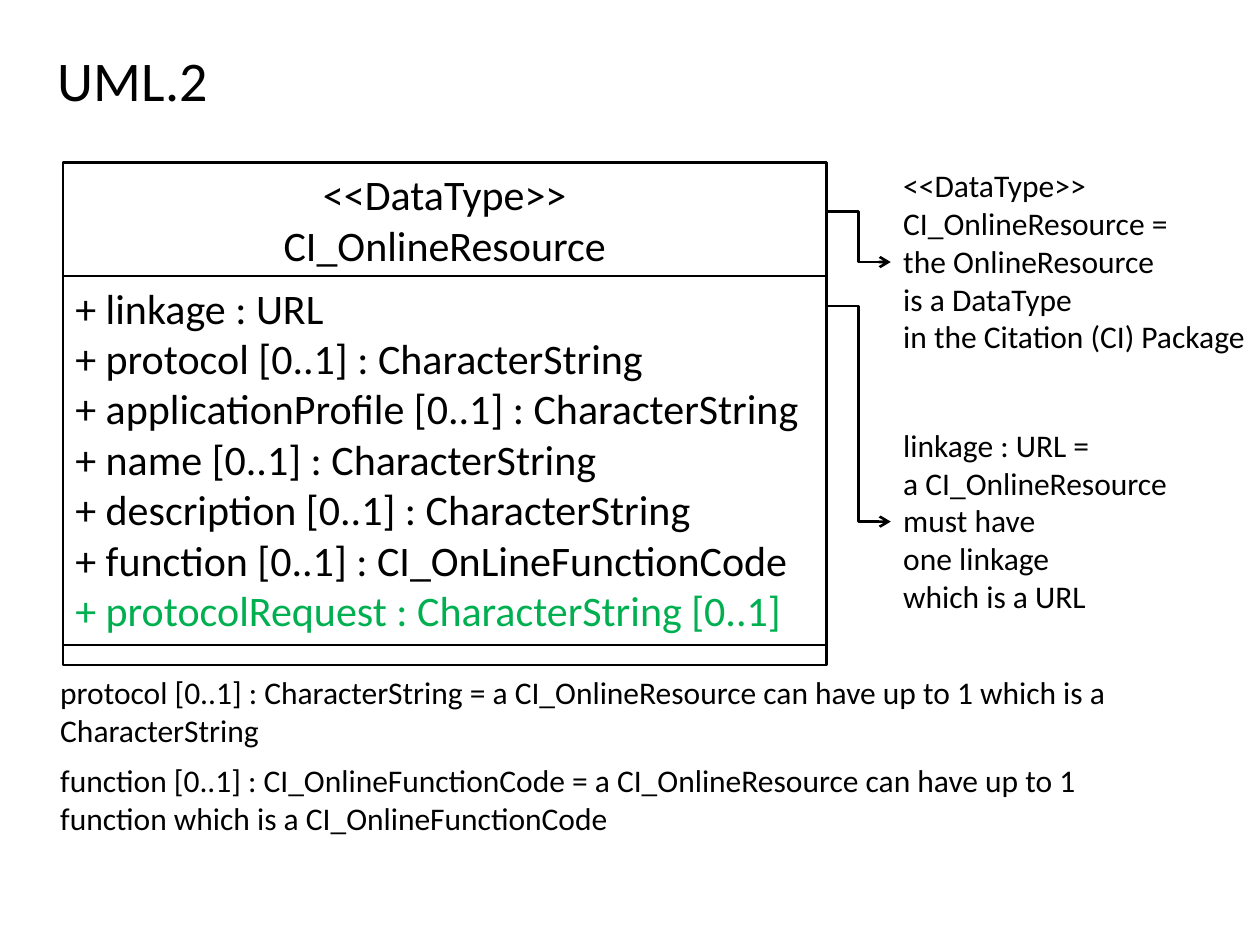
from dataclasses import dataclass

from lxml import etree
from pptx import Presentation
from pptx.dml.color import RGBColor
from pptx.enum import shapes, text
from pptx.oxml import ns
from pptx.util import Inches, Pt


@dataclass(frozen=True)
class Theme:
    font: str = "Calibri"
    ink: RGBColor = RGBColor(0, 0, 0)
    paper: RGBColor = RGBColor(255, 255, 255)
    added: RGBColor = RGBColor(0, 0xB0, 0x50)
    title_size: int = 32
    class_size: int = 24
    note_size: int = 18
    line_width: float = 1.5


THEME = Theme()

CLASS_LEFT, CLASS_TOP, CLASS_WIDTH = 0.5, 1.29, 6.06
CLASS_NAME = ["<<DataType>>", "CI_OnlineResource"]
ATTRIBUTES = [
    "+ linkage : URL",
    "+ protocol [0..1] : CharacterString",
    "+ applicationProfile [0..1] : CharacterString",
    "+ name [0..1] : CharacterString",
    "+ description [0..1] : CharacterString",
    "+ function [0..1] : CI_OnLineFunctionCode",
    "+ protocolRequest : CharacterString [0..1]",
]
COMPARTMENTS = [
    (0.9, CLASS_NAME, text.PP_ALIGN.CENTER),
    (2.93, ATTRIBUTES, text.PP_ALIGN.LEFT),
    (0.16, [], text.PP_ALIGN.LEFT),
]

NOTE_LEFT, NOTE_HEIGHT = 7.07, 1.62
# Top, width, height at which the arrow leaves the class, lines
SIDE_NOTES = [
    (1.27, 2.95, 1.68, [
        "<<DataType>>",
        "CI_OnlineResource =",
        "the OnlineResource",
        "is a DataType",
        "in the Citation (CI) Package",
    ]),
    (3.33, 2.32, 2.43, [
        "linkage : URL =",
        "a CI_OnlineResource",
        "must have",
        "one linkage",
        "which is a URL",
    ]),
]

FOOT_TOP, FOOT_STEP = 5.29, 0.7
FOOT_NOTES = [
    "protocol [0..1] : CharacterString = a CI_OnlineResource can have "
    "up to 1 which is a CharacterString",
    "function [0..1] : CI_OnlineFunctionCode = a CI_OnlineResource can have "
    "up to 1 function which is a CI_OnlineFunctionCode",
]


def write_lines(text_frame, lines, size, alignment=text.PP_ALIGN.LEFT):
    text_frame.text = "\n".join(lines)
    for paragraph in text_frame.paragraphs:
        paragraph.alignment = alignment
        for run in paragraph.runs:
            run.font.name = THEME.font
            run.font.size = Pt(size)
            run.font.color.rgb = THEME.ink


def place_title(slide, title):
    shape = slide.shapes.title
    shape.left, shape.top = Inches(0.36), Inches(0.32)
    shape.width, shape.height = Inches(9), Inches(0.61)
    write_lines(shape.text_frame, [title], THEME.title_size)
    shape.text_frame.vertical_anchor = text.MSO_ANCHOR.MIDDLE


def add_compartment(slide, top, height, lines, alignment):
    shape = slide.shapes.add_shape(
        shapes.MSO_SHAPE.RECTANGLE, Inches(CLASS_LEFT), Inches(top),
        Inches(CLASS_WIDTH), Inches(height))
    shape.shadow.inherit = False
    shape.fill.solid()
    shape.fill.fore_color.rgb = THEME.paper
    shape.line.color.rgb = THEME.ink
    shape.line.width = Pt(THEME.line_width)
    shape.text_frame.vertical_anchor = text.MSO_ANCHOR.TOP
    if lines:
        write_lines(shape.text_frame, lines, THEME.class_size, alignment)
    return shape


def add_class(slide):
    """Stack the name, attribute and operation compartments."""
    top = CLASS_TOP
    for height, lines, alignment in COMPARTMENTS:
        shape = add_compartment(slide, top, height, lines, alignment)
        if lines is ATTRIBUTES:
            new_attribute = shape.text_frame.paragraphs[-1].runs[0]
            new_attribute.font.color.rgb = THEME.added
        top += height


def add_note(slide, left, top, width, height, lines, wrap):
    box = slide.shapes.add_textbox(
        Inches(left), Inches(top), Inches(width), Inches(height))
    box.text_frame.word_wrap = wrap
    write_lines(box.text_frame, lines, THEME.note_size)


def add_elbow_arrow(slide, start, end):
    connector = slide.shapes.add_connector(
        shapes.MSO_CONNECTOR.ELBOW,
        *(Inches(length) for length in (*start, *end)))
    connector.line.color.rgb = THEME.ink
    connector.line.width = Pt(THEME.line_width)
    line = connector.line._get_or_add_ln()
    etree.SubElement(line, ns.qn("a:tailEnd"), type="arrow")
    etree.SubElement(connector._element.spPr, ns.qn("a:effectLst"))


def main():
    presentation = Presentation()
    presentation.slide_width = Inches(10)
    presentation.slide_height = Inches(7.5)
    title_only = presentation.slide_layouts[5]
    slide = presentation.slides.add_slide(title_only)

    place_title(slide, "UML.2")
    add_class(slide)
    for top, width, start_y, lines in SIDE_NOTES:
        add_note(slide, NOTE_LEFT, top, width, NOTE_HEIGHT, lines, wrap=False)
        add_elbow_arrow(slide, (CLASS_LEFT + CLASS_WIDTH, start_y),
                        (NOTE_LEFT, top + NOTE_HEIGHT / 2))
    for index, note in enumerate(FOOT_NOTES):
        add_note(slide, 0.38, FOOT_TOP + index * FOOT_STEP, 9, 0.71,
                 [note], wrap=True)

    presentation.save("out.pptx")


if __name__ == "__main__":
    main()
